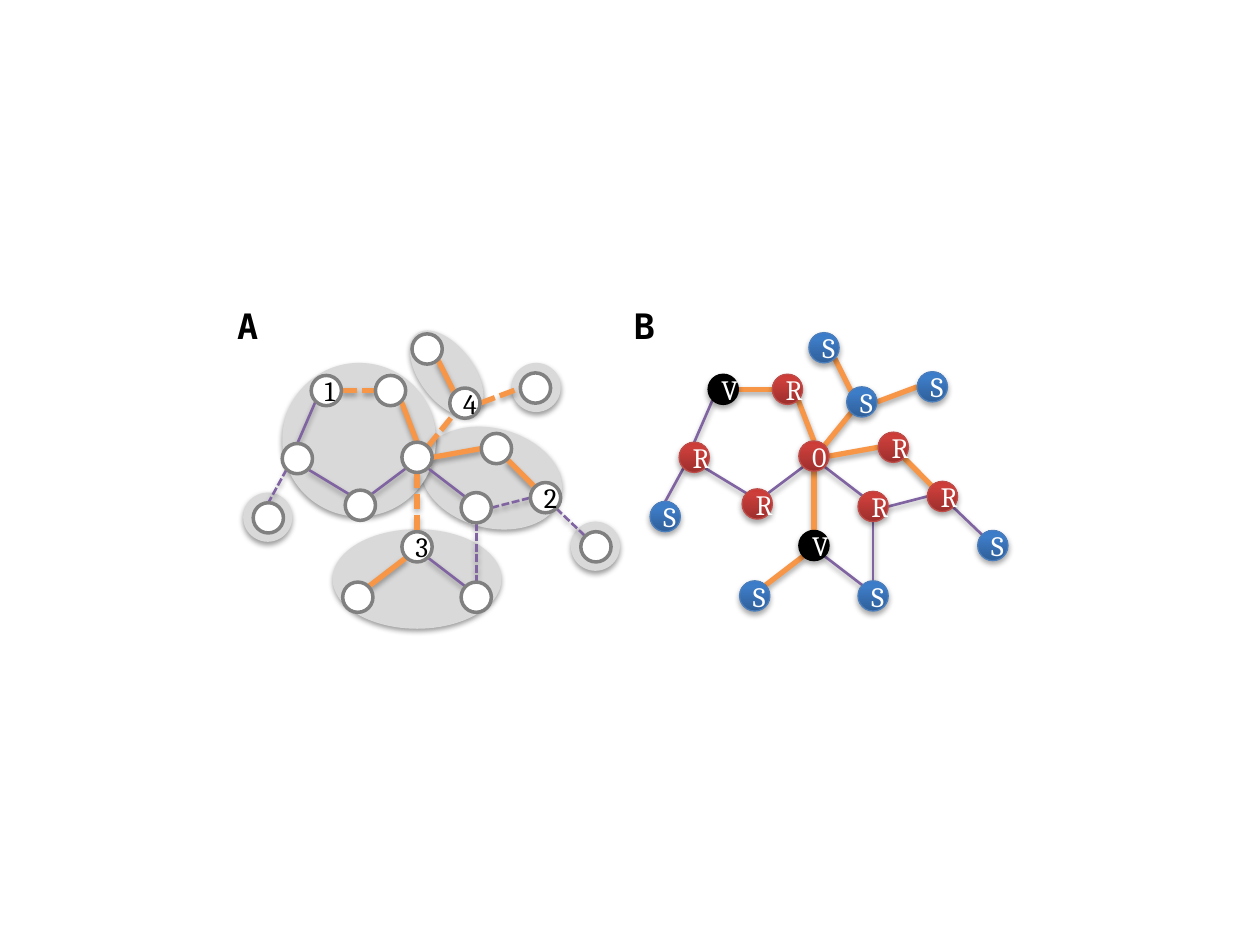
"""Builds a slide with one molecular-style graph shown as fragments (A) and as node roles (B)."""
import copy
from lxml import etree
from pptx import Presentation
from pptx import util as u
from pptx.dml.color import RGBColor
from pptx.enum import dml, shapes, text
from pptx.oxml.ns import qn

BLACK = RGBColor(0, 0, 0)
WHITE = RGBColor(255, 255, 255)
PALE = RGBColor(0xD9, 0xD9, 0xD9)
GREY = RGBColor(0x80, 0x80, 0x80)
ORANGE = RGBColor(0xF7, 0x96, 0x46)
PURPLE = RGBColor(0x80, 0x64, 0xA2)
BLUE_LINE = RGBColor(0x4B, 0x7E, 0xBC)
RED_LINE = RGBColor(0xBF, 0x4C, 0x48)
BLUES = [RGBColor(0x2F, 0x5F, 0x99), RGBColor(0x3D, 0x7C, 0xC7), RGBColor(0x3A, 0x7C, 0xCB)]
REDS = [RGBColor(0x9C, 0x2F, 0x2D), RGBColor(0xCB, 0x3E, 0x3A), RGBColor(0xCE, 0x3B, 0x37)]

DIAMETER = 0.24
RADIUS = DIAMETER / 2
DIAGONAL = RADIUS * 0.5 ** 0.5
STOP_POSITIONS = (0, 0.8, 1)
PANEL_B_SHIFT = (3.15, -0.01)
BLOB_SHADOW = (38000, 20000)
GRAPH_SHADOW = (35000, 23000)

BLOBS = [
    (4.06, 2.88, 0.39, 0.39, 0), (3.15, 2.75, 0.79, 0.43, 53.3),
    (4.53, 4.14, 0.39, 0.39, 0), (1.93, 3.91, 0.39, 0.39, 0),
    (2.64, 4.2, 1.34, 0.79, 0), (3.33, 3.4, 1.14, 0.79, 14.6),
    (2.24, 2.88, 1.22, 1.22, 0),
]
NODES = {
    "east": (4.25, 3.08, "", "S"), "south": (2.86, 4.01, "", "R"),
    "top": (3.39, 2.77, "", "S"), "four": (3.69, 3.2, "4", "S"),
    "leaf": (2.13, 4.11, "", "S"), "west": (2.36, 3.64, "", "R"),
    "one": (2.59, 3.1, "1", "V"), "right": (3.78, 4.74, "", "S"),
    "three": (3.31, 4.34, "3", "V"), "two": (4.33, 3.95, "2", "R"),
    "lower": (3.78, 4.03, "", "R"), "petal": (3.94, 3.56, "", "R"),
    "far": (4.73, 4.34, "", "S"), "hub": (3.31, 3.63, "", "0"),
    "left": (2.84, 4.74, "", "S"), "ring": (3.1, 3.1, "", "R"),
}
SITES = {
    "N": (0, -RADIUS), "S": (0, RADIUS), "E": (RADIUS, 0), "W": (-RADIUS, 0),
    "NE": (DIAGONAL, -DIAGONAL), "NW": (-DIAGONAL, -DIAGONAL),
    "SE": (DIAGONAL, DIAGONAL), "SW": (-DIAGONAL, DIAGONAL),
}
ORANGE_EDGES = [
    ("four", "NW", "top", "SE", False), ("one", "E", "ring", "W", True),
    ("hub", "E", "petal", "W", False), ("petal", "SE", "two", "NW", False),
    ("hub", "S", "three", "N", True), ("three", "SW", "left", "NE", False),
    ("hub", "NE", "four", "SW", True), ("four", "E", "east", "W", True),
    ("ring", "SE", "hub", "N", False),
]
PURPLE_EDGES = [
    ("lower", "E", "two", "W", True), ("hub", "SE", "lower", "NW", False),
    ("lower", "S", "right", "N", True), ("three", "SE", "right", "NW", False),
    ("one", "SW", "west", "N", False), ("west", "SE", "south", "NW", False),
    ("west", "SW", "leaf", "N", True), ("two", "SE", "far", "NW", True),
    ("south", "NE", "hub", "SW", False),
]
ROLE_STYLES = {"S": (BLUES, BLUE_LINE), "R": (REDS, RED_LINE), "0": (REDS, RED_LINE), "V": (None, BLACK)}
PANEL_LABELS = [("A", 1.77), ("B", 4.92)]


def add_shadow(shape, strength):
    alpha, distance = strength
    properties = shape._element.spPr
    for old in properties.findall(qn("a:effectLst")):
        properties.remove(old)
    effects = etree.SubElement(properties, qn("a:effectLst"))
    shadow = etree.SubElement(effects, qn("a:outerShdw"), blurRad="40000", dist=str(distance),
                              dir="5400000", rotWithShape="0")
    color = etree.SubElement(shadow, qn("a:srgbClr"), val="000000")
    etree.SubElement(color, qn("a:alpha"), val=str(alpha))


def add_oval(group, left, top, width, height, fill):
    oval = group.shapes.add_shape(shapes.MSO_SHAPE.OVAL, *map(u.Inches, (left, top, width, height)))
    oval.shadow.inherit = False
    oval.fill.solid()
    oval.fill.fore_color.rgb = fill
    return oval


def add_node(group, x, y, fill, line, weight):
    node = add_oval(group, x - RADIUS, y - RADIUS, DIAMETER, DIAMETER, fill)
    node.line.color.rgb = line
    node.line.width = u.Pt(weight)
    return node


def set_gradient(shape, colors):
    shape.fill.gradient()
    shape.fill.gradient_angle = 90
    stop_list = shape._element.spPr.find(".//" + qn("a:gsLst"))
    stop_list.append(copy.deepcopy(stop_list[-1]))
    for stop, position, color in zip(shape.fill.gradient_stops, STOP_POSITIONS, colors):
        stop.position = position
        stop.color.rgb = color


def write(shape, words, **font_values):
    paragraph = shape.text_frame.paragraphs[0]
    paragraph.alignment = text.PP_ALIGN.CENTER
    run = paragraph.add_run()
    run.text = words
    run.font.color.rgb = font_values.pop("color")
    for name, value in font_values.items():
        setattr(run.font, name, value)


def add_edges(group, shift, dashes):
    for color, weight, edges in ((ORANGE, 3, ORANGE_EDGES), (PURPLE, 1.5, PURPLE_EDGES)):
        for start, start_site, end, end_site, dashed in edges:
            ends = [NODES[name][axis] + SITES[site][axis] + shift[axis]
                    for name, site in ((start, start_site), (end, end_site)) for axis in (0, 1)]
            edge = group.shapes.add_connector(shapes.MSO_CONNECTOR.STRAIGHT, *map(u.Inches, ends))
            edge.line.color.rgb = color
            edge.line.width = u.Pt(weight)
            if dashed and dashes:
                edge.line.dash_style = dml.MSO_LINE.SQUARE_DOT
                edge._element.spPr.find(".//" + qn("a:prstDash")).set("val", "sysDash")
            add_shadow(edge, GRAPH_SHADOW)


presentation = Presentation()
presentation.slide_width, presentation.slide_height = u.Inches(10), u.Inches(7.5)
slide = presentation.slides.add_slide(presentation.slide_layouts[6])
blob_group, edge_group, number_group, role_group = [slide.shapes.add_group_shape() for _ in range(4)]

for left, top, width, height, rotation in BLOBS:
    blob = add_oval(blob_group, left, top, width, height, PALE)
    blob.rotation = rotation
    blob.line.fill.background()
    add_shadow(blob, BLOB_SHADOW)

add_edges(edge_group, (0, 0), True)
add_edges(role_group, PANEL_B_SHIFT, False)

for x, y, number, role in NODES.values():
    number_node = add_node(number_group, x, y, WHITE, GREY, 2)
    if number:
        write(number_node, number, size=u.Pt(16), name="Cambria", color=BLACK)
    gradient, outline = ROLE_STYLES[role]
    role_node = add_node(role_group, x + PANEL_B_SHIFT[0], y + PANEL_B_SHIFT[1], BLACK, outline, 0.75)
    if gradient:
        set_gradient(role_node, gradient)
    add_shadow(role_node, GRAPH_SHADOW)
    write(role_node, role, size=u.Pt(16), name="Cambria", color=WHITE)

for letter, left in PANEL_LABELS:
    label = slide.shapes.add_textbox(*map(u.Inches, (left, 2.37, 0.39, 0.44)))
    label.text_frame.word_wrap = False
    label.text_frame.auto_size = text.MSO_AUTO_SIZE.SHAPE_TO_FIT_TEXT
    write(label, letter, size=u.Pt(20), name="DejaVu Sans Mono", bold=True, color=BLACK)

presentation.save("out.pptx")
